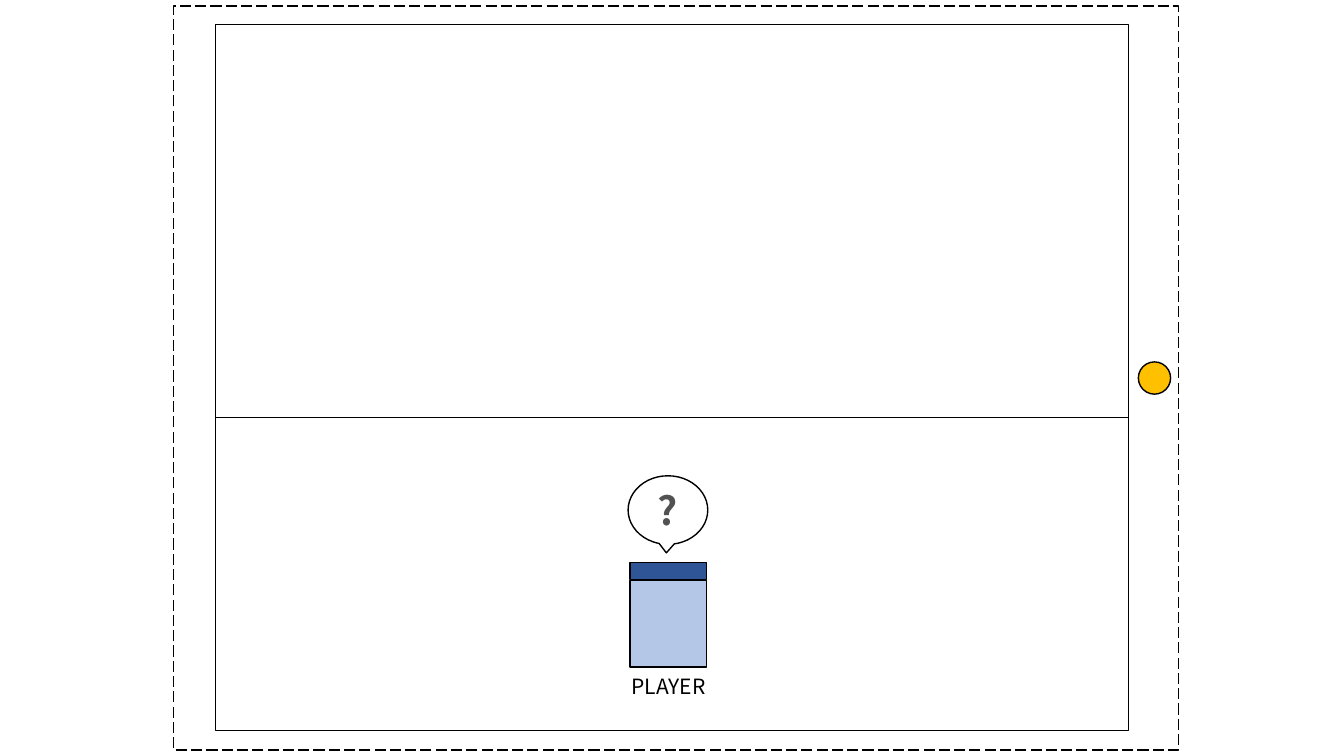
from dataclasses import dataclass
from typing import Optional

from lxml import etree
from pptx import Presentation
from pptx.dml.color import RGBColor
from pptx.enum.dml import MSO_LINE
from pptx.enum.shapes import MSO_CONNECTOR, MSO_SHAPE
from pptx.enum.text import MSO_ANCHOR, PP_ALIGN
from pptx.oxml.ns import qn
from pptx.shapes.autoshape import Shape
from pptx.util import Inches, Pt

RECTANGLE = MSO_SHAPE.RECTANGLE
OVAL = MSO_SHAPE.OVAL
CALLOUT = MSO_SHAPE.OVAL_CALLOUT
STRAIGHT = MSO_CONNECTOR.STRAIGHT
LONG_DASH = MSO_LINE.LONG_DASH
MIDDLE = MSO_ANCHOR.MIDDLE
CENTER = PP_ALIGN.CENTER


@dataclass(frozen=True)
class Theme:
    font: str = "Noto Sans CJK KR"
    black: str = "000000"
    white: str = "FFFFFF"
    gray: str = "525252"
    light_blue: str = "B4C7E7"
    dark_blue: str = "2F5597"
    gold: str = "FFC000"
    label_size: float = 15
    question_size: float = 28
    outline: float = 1
    thin: float = 0.5


THEME = Theme()


@dataclass(frozen=True)
class Box:
    left: float
    top: float
    width: float
    height: float
    fill: Optional[str] = THEME.white
    kind: MSO_SHAPE = RECTANGLE
    outlined: bool = True
    dashed: bool = False


# Parts of the scene
ROOM = Box(2.14, 0.24, 9.05, 7.01)
FLOOR_TOP = 4.14
PLAYER_BODY = Box(6.25, 5.76, 0.76, 0.86, THEME.light_blue)
PLAYER_HEAD = Box(6.25, 5.58, 0.76, 0.17, THEME.dark_blue)
PLAYER_LABEL = Box(6.13, 6.63, 1, 0.35, outlined=False)
SCREEN_EDGE = Box(1.72, 0.06, 9.97, 7.38, fill=None, dashed=True)
MARKER = Box(11.29, 3.59, 0.32, 0.32, THEME.gold, OVAL)
SPEECH = Box(6.23, 4.72, 0.79, 0.68, kind=CALLOUT)
SPEECH_TAIL = (-0.02, 0.625)


def draw_box(shapes, box: Box) -> Shape:
    shape = shapes.add_shape(box.kind, Inches(box.left), Inches(box.top),
                             Inches(box.width), Inches(box.height))
    shape.shadow.inherit = False
    if box.fill:
        shape.fill.solid()
        shape.fill.fore_color.rgb = RGBColor.from_string(box.fill)
    else:
        shape.fill.background()
    if box.outlined:
        shape.line.color.rgb = RGBColor.from_string(THEME.black)
        shape.line.width = Pt(THEME.outline)
    else:
        shape.line.fill.background()
    if box.dashed:
        shape.line.dash_style = LONG_DASH
    return shape


def write_text(shape: Shape, text: str, size: float, color: str, bold: bool = False) -> None:
    frame = shape.text_frame
    frame.margin_left = frame.margin_right = Inches(0)
    frame.margin_top = frame.margin_bottom = Inches(0)
    frame.vertical_anchor = MIDDLE
    paragraph = frame.paragraphs[0]
    paragraph.alignment = CENTER
    run = paragraph.add_run()
    run.text = text
    run.font.name = THEME.font
    run.font.size = Pt(size)
    run.font.bold = bold
    run.font.color.rgb = RGBColor.from_string(color)


def draw_floor_line(shapes) -> None:
    line = shapes.add_connector(STRAIGHT, Inches(ROOM.left), Inches(FLOOR_TOP),
                                Inches(ROOM.left + ROOM.width), Inches(FLOOR_TOP))
    line.line.color.rgb = RGBColor.from_string(THEME.black)
    line.line.width = Pt(THEME.thin)
    etree.SubElement(line._element.spPr, qn("a:effectLst"))


def main() -> None:
    presentation = Presentation()
    presentation.slide_width = Inches(13.33)
    presentation.slide_height = Inches(7.5)
    slide = presentation.slides.add_slide(presentation.slide_layouts[6])
    shapes = slide.shapes

    # Room and player
    draw_box(shapes, ROOM)
    player = shapes.add_group_shape()
    for part in (PLAYER_BODY, PLAYER_HEAD):
        draw_box(player.shapes, part)
    draw_floor_line(shapes)
    label = draw_box(shapes, PLAYER_LABEL)
    write_text(label, "PLAYER", THEME.label_size, THEME.black)

    # Screen edge and marker
    draw_box(shapes, SCREEN_EDGE)
    draw_box(shapes, MARKER)

    # Speech bubble
    speech = draw_box(shapes, SPEECH)
    for index, offset in enumerate(SPEECH_TAIL):
        speech.adjustments[index] = offset
    write_text(speech, "?", THEME.question_size, THEME.gray, bold=True)

    presentation.save("out.pptx")


if __name__ == "__main__":
    main()
